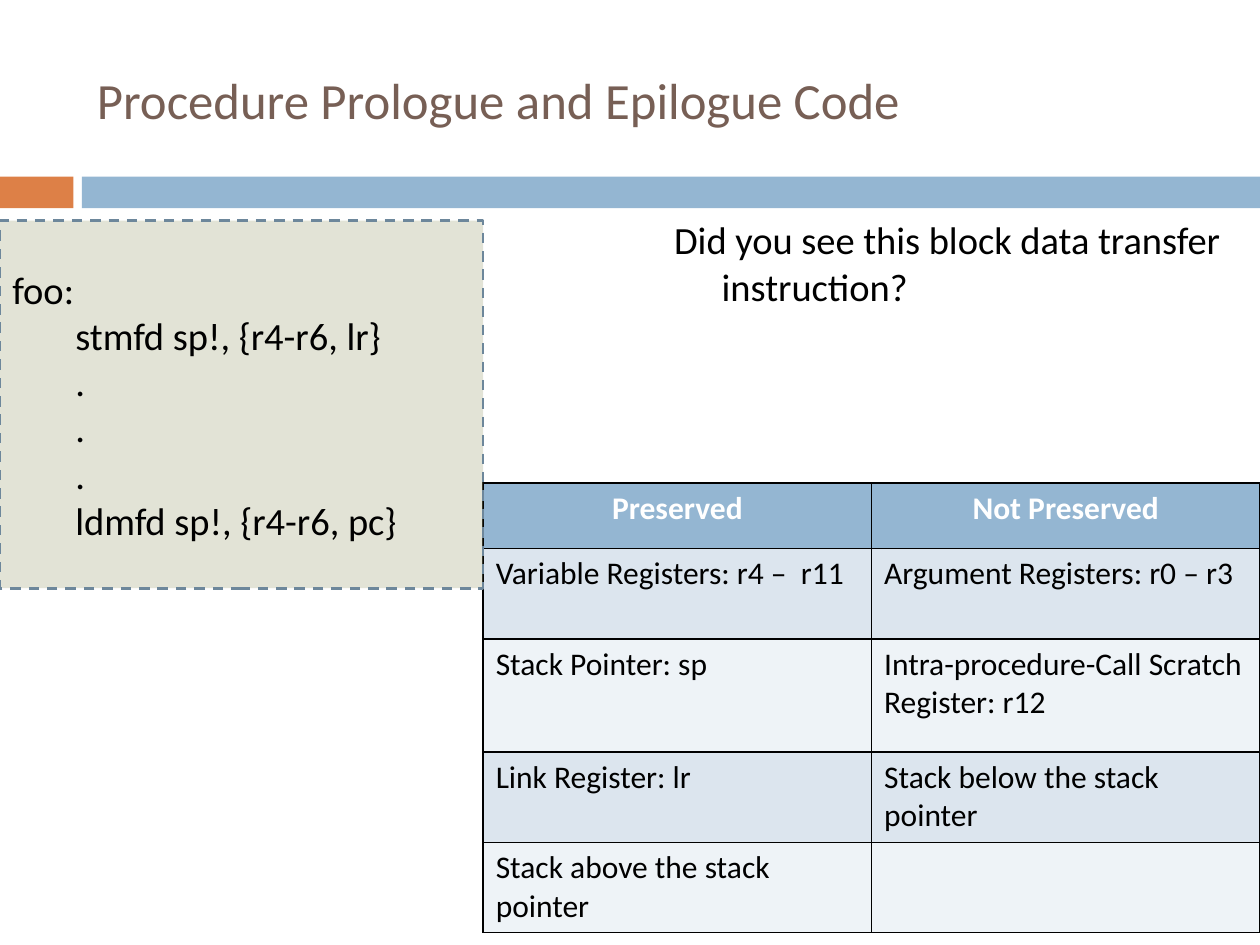
"""Build the slide on procedure prologue and epilogue code."""
from dataclasses import dataclass

from lxml import etree
from pptx import Presentation
from pptx import util as u
from pptx.dml.color import RGBColor
from pptx.enum import dml, shapes, text
from pptx.oxml.ns import qn

COLORS = {
    "orange": "DD8047", "blue": "94B6D2", "brown": "775F55", "olive": "A5AB81",
    "dash": "6D879B", "black": "000000", "white": "FFFFFF",
    "band_dark": "DCE5EE", "band_light": "EEF3F7",
}
FONT = "Calibri"
ROWS = [
    ("Preserved", "Not Preserved"),
    ("Variable Registers: r4 –  r11", "Argument Registers: r0 – r3"),
    ("Stack Pointer: sp", "Intra-procedure-Call Scratch Register: r12"),
    ("Link Register: lr", "Stack below the stack pointer"),
    ("Stack above the stack pointer", ""),
]
ROW_HEIGHTS = [1.32, 1.82, 2.28, 1.82, 1.82]
CODE = ["foo:", "\tstmfd sp!, {r4-r6, lr}", "\t.", "\t.", "\t.",
        "\tldmfd sp!, {r4-r6, pc}"]


@dataclass
class Box:
    left: float
    top: float
    width: float
    height: float

    def lengths(self) -> list:
        return [u.Cm(v) for v in (self.left, self.top, self.width, self.height)]


@dataclass
class Bar:
    box: Box
    color: str


BARS = [Bar(Box(0, 3.56, 1.48, 0.64), "orange"),
        Bar(Box(1.65, 3.56, 23.75, 0.64), "blue")]
TITLE = Box(1.7, 0.64, 22.66, 2.74)
TABLE = Box(9.74, 9.74, 15.66, sum(ROW_HEIGHTS))
QUESTION = Box(13.34, 4.24, 12.9, 2.13)
LISTING = Box(0, 4.45, 9.74, 7.41)


def rgb(name: str) -> RGBColor:
    return RGBColor.from_string(COLORS[name])


def write(tf, lines: list, size: float, color: str = "black",
          bold: bool = False, align=text.PP_ALIGN.LEFT) -> None:
    tf.word_wrap = True
    for i, line in enumerate(lines):
        p = tf.paragraphs[0] if i == 0 else tf.add_paragraph()
        p.alignment = align
        r = p.add_run()
        r.text = line
        for key, value in {"name": FONT, "size": u.Pt(size), "bold": bold}.items():
            setattr(r.font, key, value)
        r.font.color.rgb = rgb(color)


def add_rect(s, box: Box, color: str):
    sp = s.shapes.add_shape(shapes.MSO_SHAPE.RECTANGLE, *box.lengths())
    sp.shadow.inherit = False
    sp.fill.solid()
    sp.fill.fore_color.rgb = rgb(color)
    sp.line.fill.background()
    return sp


def add_borders(cell) -> None:
    tc_pr = cell._tc.get_or_add_tcPr()
    for side in ("lnL", "lnR", "lnT", "lnB"):
        ln = etree.SubElement(tc_pr, qn(f"a:{side}"), w=str(u.Pt(1)))
        fill = etree.SubElement(ln, qn("a:solidFill"))
        etree.SubElement(fill, qn("a:srgbClr"), val=COLORS["black"])


def add_register_table(s) -> None:
    table = s.shapes.add_table(len(ROWS), 2, *TABLE.lengths()).table
    for row, height in zip(table.rows, ROW_HEIGHTS):
        row.height = u.Cm(height)
    for i, row in enumerate(ROWS):
        head = i == 0
        fill = "blue" if head else "band_dark" if i % 2 else "band_light"
        align = text.PP_ALIGN.CENTER if head else text.PP_ALIGN.LEFT
        for j, label in enumerate(row):
            cell = table.cell(i, j)
            add_borders(cell)
            cell.fill.solid()
            cell.fill.fore_color.rgb = rgb(fill)
            if label:
                write(cell.text_frame, [label], 18,
                      "white" if head else "black", head, align)


def add_question(s) -> None:
    tf = s.shapes.add_textbox(*QUESTION.lengths()).text_frame
    write(tf, ["Did you see this block data transfer instruction?"], 22)
    p_pr = tf.paragraphs[0]._p.get_or_add_pPr()
    for key, value in {"marL": 0.96, "indent": -0.96}.items():
        p_pr.set(key, str(u.Cm(value)))


def add_listing(s) -> None:
    sp = add_rect(s, LISTING, "olive")
    color = sp.fill._xPr.find(qn("a:solidFill"))[0]
    etree.SubElement(color, qn("a:alpha"), val="32000")
    sp.line.color.rgb = rgb("dash")
    for key, value in {"width": u.Pt(1.5),
                       "dash_style": dml.MSO_LINE.DASH}.items():
        setattr(sp.line, key, value)
    sp.text_frame.vertical_anchor = text.MSO_ANCHOR.MIDDLE
    write(sp.text_frame, CODE, 22)


def main() -> None:
    prs = Presentation()
    prs.slide_width, prs.slide_height = u.Cm(25.4), u.Cm(19.05)
    s = prs.slides.add_slide(prs.slide_layouts[5])
    for bar in BARS:
        add_rect(s, bar.box, bar.color)
    title = s.shapes.title
    for key, value in zip(("left", "top", "width", "height"), TITLE.lengths()):
        setattr(title, key, value)
    title.text_frame.vertical_anchor = text.MSO_ANCHOR.MIDDLE
    write(title.text_frame, ["Procedure Prologue and Epilogue Code"], 29, "brown")
    add_register_table(s)
    add_question(s)
    add_listing(s)
    prs.save("out.pptx")


if __name__ == "__main__":
    main()
